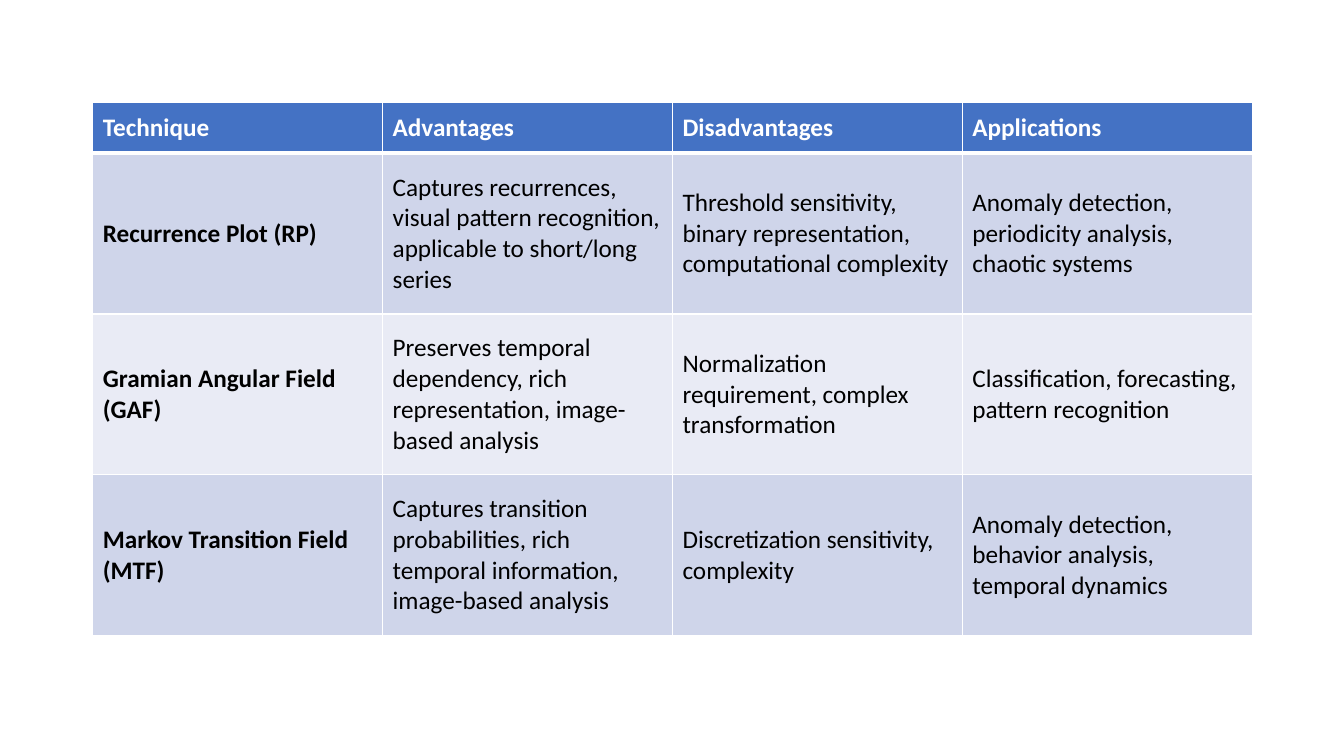
"""Build a slide comparing techniques that turn time series into images."""
from lxml import etree
from pptx import Presentation
from pptx.dml.color import RGBColor
from pptx.enum.text import MSO_ANCHOR
from pptx.oxml.ns import qn
from pptx.util import Inches, Pt

MIDDLE = MSO_ANCHOR.MIDDLE
WHITE = RGBColor(0xFF, 0xFF, 0xFF)
BLACK = RGBColor(0x00, 0x00, 0x00)
HEADER_BLUE = RGBColor(0x44, 0x72, 0xC4)
BAND_DARK = RGBColor(0xCF, 0xD5, 0xEA)
BAND_LIGHT = RGBColor(0xE9, 0xEB, 0xF5)

HEADER_HEIGHT = Inches(0.5)
BODY_HEIGHT = Inches(1.595)
TABLE_WIDTH = Inches(11.5)

TECHNIQUES = [
    ("Technique", "Advantages", "Disadvantages", "Applications"),
    (
        "Recurrence Plot (RP)",
        "Captures recurrences, visual pattern recognition, applicable to short/long series",
        "Threshold sensitivity, binary representation, computational complexity",
        "Anomaly detection, periodicity analysis, chaotic systems",
    ),
    (
        "Gramian Angular Field (GAF)",
        "Preserves temporal dependency, rich representation, image-based analysis",
        "Normalization requirement, complex transformation",
        "Classification, forecasting, pattern recognition",
    ),
    (
        "Markov Transition Field (MTF)",
        "Captures transition probabilities, rich temporal information, image-based analysis",
        "Discretization sensitivity, complexity",
        "Anomaly detection, behavior analysis, temporal dynamics",
    ),
]


def set_borders(cell, left=1, right=1, top=1, bottom=1, color=WHITE):
    """Draw the four cell borders with widths in points."""
    properties = cell._tc.get_or_add_tcPr()
    for side, width in (("L", left), ("R", right), ("T", top), ("B", bottom)):
        line = etree.SubElement(properties, qn(f"a:ln{side}"), w=str(Pt(width)))
        fill = etree.SubElement(line, qn("a:solidFill"))
        etree.SubElement(fill, qn("a:srgbClr"), val=str(color))


def write_text(cell, text, color=BLACK, bold=False, size=18, font="Calibri"):
    """Write formatted text, vertically centred in the cell."""
    cell.vertical_anchor = MIDDLE
    run = cell.text_frame.paragraphs[0].add_run()
    run.text = text
    run.font.name = font
    run.font.size = Pt(size)
    run.font.bold = bold
    run.font.color.rgb = color


def fill_cell(cell, color):
    """Give the cell a solid background."""
    cell.fill.solid()
    cell.fill.fore_color.rgb = color


def add_technique_table(slide, rows, left, top):
    """Add the banded comparison table with a header row."""
    column_count = len(rows[0])
    height = HEADER_HEIGHT + BODY_HEIGHT * (len(rows) - 1)
    table = slide.shapes.add_table(
        len(rows), column_count, left, top, TABLE_WIDTH, height
    ).table
    for column in table.columns:
        column.width = TABLE_WIDTH // column_count
    for row_index, texts in enumerate(rows):
        is_header = row_index == 0
        table.rows[row_index].height = HEADER_HEIGHT if is_header else BODY_HEIGHT
        band = BAND_DARK if row_index % 2 else BAND_LIGHT
        for column_index, text in enumerate(texts):
            cell = table.cell(row_index, column_index)
            set_borders(
                cell, top=3 if row_index == 1 else 1, bottom=3 if is_header else 1
            )
            fill_cell(cell, HEADER_BLUE if is_header else band)
            write_text(
                cell,
                text,
                color=WHITE if is_header else BLACK,
                bold=is_header or column_index == 0,
            )


def main():
    """Create the presentation and save it."""
    presentation = Presentation()
    presentation.slide_width = Inches(13.33)
    presentation.slide_height = Inches(7.5)
    slide = presentation.slides.add_slide(presentation.slide_layouts[6])
    add_technique_table(slide, TECHNIQUES, left=Inches(0.92), top=Inches(1.02))
    presentation.save("out.pptx")


if __name__ == "__main__":
    main()
